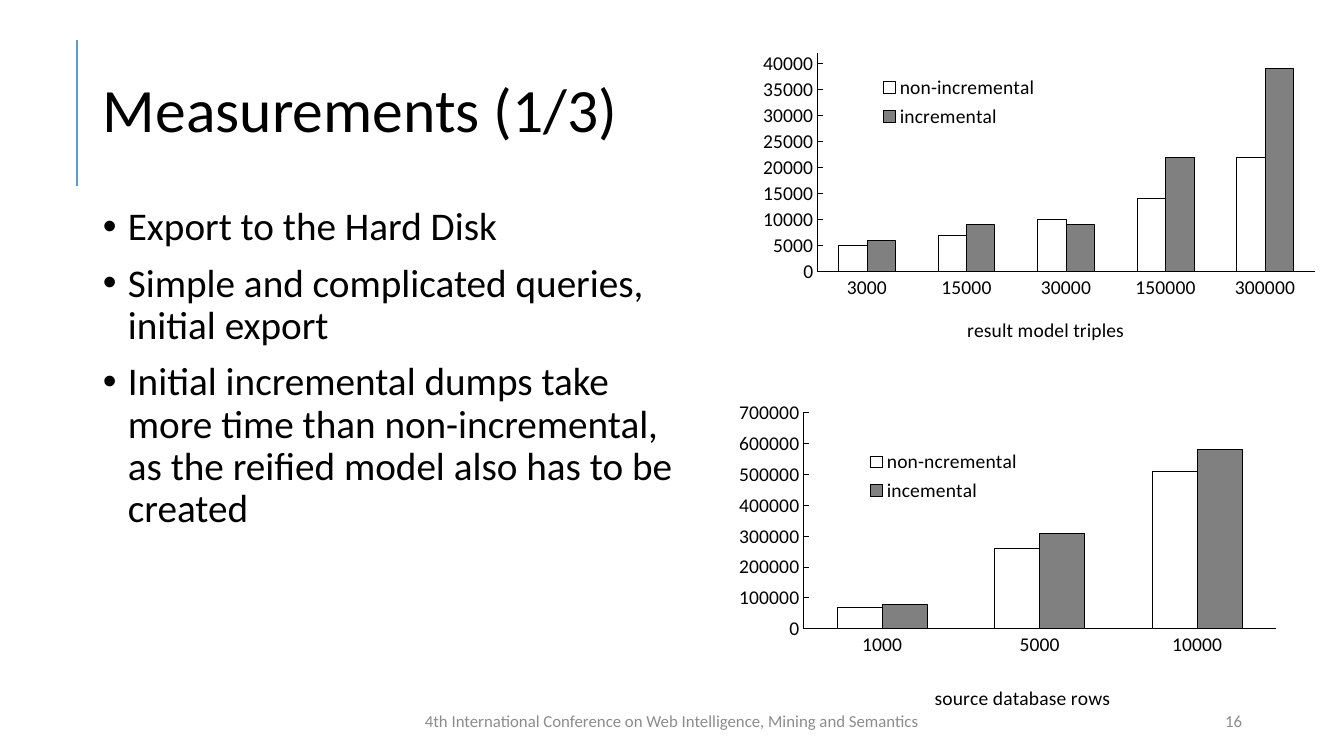
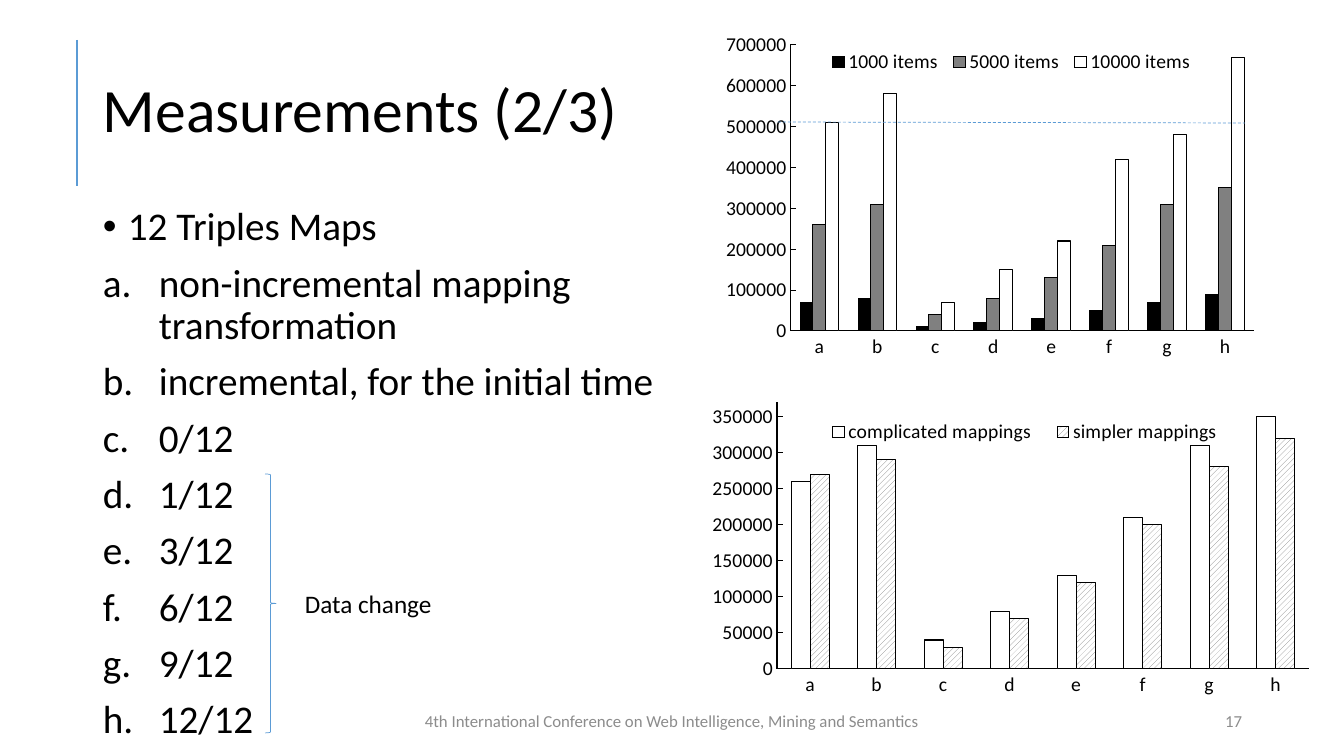
from lxml import etree
from pptx import Presentation
from pptx import util as u
from pptx.chart.data import CategoryChartData
from pptx.dml.color import RGBColor
from pptx.enum import chart as kinds, dml, shapes, text
from pptx.oxml import ns

BLACK = RGBColor(0, 0, 0)
WHITE = RGBColor(255, 255, 255)
GRAY = RGBColor(0x80, 0x80, 0x80)
MUTED = RGBColor(0x8C, 0x8C, 0x8C)
BLUE = RGBColor(0x5B, 0x9B, 0xD5)
FONT = "Calibri"
HATCH = "hatch"
FOOTER = "4th International Conference on Web Intelligence, Mining and Semantics"
STEPS = list("abcdefgh")
MIXED = [260000, 310000, 40000, 80000, 130000, 210000, 310000, 350000]


def px(n):
    return u.Emu(round(n * 9144000 / 1008))


def sub(node, tag, **attrs):
    return etree.SubElement(node, ns.qn(tag), **attrs)


def style(font, size, color=BLACK):
    font.name = FONT
    font.size = u.Pt(size)
    font.bold = False
    font.color.rgb = color


def write(para, words, size, color=BLACK):
    run = para.add_run()
    run.text = words
    style(run.font, size, color)


def frame(slide, box, anchor=text.MSO_ANCHOR.TOP):
    body = slide.shapes.add_textbox(*map(px, box)).text_frame
    body.word_wrap = True
    body.vertical_anchor = anchor
    return body


def label(slide, box, words, size, color=BLACK, align=text.PP_ALIGN.LEFT,
          anchor=text.MSO_ANCHOR.MIDDLE):
    body = frame(slide, box, anchor)
    para = body.paragraphs[0]
    para.alignment = align
    write(para, words, size, color)
    return body


def bullet(para, words, indent, letter):
    para.line_spacing = 0.9
    para.space_before = u.Pt(10)
    props = para._p.get_or_add_pPr()
    props.set("marL", str(px(indent)))
    props.set("indent", str(-px(indent)))
    if letter:
        sub(props, "a:buFont", typeface="+mj-lt")
        sub(props, "a:buAutoNum", type="alphaLcPeriod")
    else:
        sub(props, "a:buFont", typeface="Arial")
        sub(props, "a:buChar", char="•")
    write(para, words, 28)


def items(slide, box, dots, letters=()):
    body = frame(slide, box)
    rows = [(words, 25, False) for words in dots]
    rows += [(words, 56, True) for words in letters]
    for i, row in enumerate(rows):
        para = body.add_paragraph() if i else body.paragraphs[0]
        bullet(para, *row)


def rule(slide, ends, width, dash=None):
    line = slide.shapes.add_connector(shapes.MSO_CONNECTOR.STRAIGHT, *map(px, ends))
    line.line.color.rgb = BLUE
    line.line.width = u.Pt(width)
    if dash:
        line.line.dash_style = dash
    sub(line._element.spPr, "a:effectLst")


def page(deck, title):
    slide = deck.slides.add_slide(deck.slide_layouts[6])
    rule(slide, (77, 40, 77, 186), 2)
    body = label(slide, (93, 40, 1159, 146), title, 44)
    body.paragraphs[0].line_spacing = 0.9
    return slide


def foot(slide, number):
    label(slide, (950, 701, 302, 40), number, 12, MUTED, text.PP_ALIGN.RIGHT)
    label(slide, (395, 701, 554, 40), FOOTER, 12, MUTED, text.PP_ALIGN.CENTER)


def place(node, index, box, spot, inner=False):
    old = node.find(ns.qn("c:layout"))
    if old is not None:
        node.remove(old)
    outer = etree.Element(ns.qn("c:layout"))
    manual = sub(outer, "c:manualLayout")
    if inner:
        sub(manual, "c:layoutTarget", val="inner")
    for axis in "xy":
        sub(manual, f"c:{axis}Mode", val="edge")
    starts = (box[0], box[1], 0, 0)
    for key, value, start, span in zip("xywh", spot, starts, box[2:] * 2):
        sub(manual, f"c:{key}", val=f"{(value - start) / span:.4f}")
    node.insert(index, outer)


def paint(fill, color):
    if color == HATCH:
        fill.patterned()
        fill.pattern = dml.MSO_PATTERN.WIDE_UPWARD_DIAGONAL
        fill.fore_color.rgb = GRAY
        fill.back_color.rgb = WHITE
    else:
        fill.solid()
        fill.fore_color.rgb = color


def edge(line):
    line.color.rgb = BLACK
    line.width = u.Pt(0.75)


def axes(chart, top, step):
    for axis in (chart.category_axis, chart.value_axis):
        axis.has_major_gridlines = False
        axis.major_tick_mark = kinds.XL_TICK_MARK.NONE
        axis.minor_tick_mark = kinds.XL_TICK_MARK.NONE
        edge(axis.format.line)
    value = chart.value_axis
    value.major_tick_mark = kinds.XL_TICK_MARK.INSIDE
    value.minimum_scale = 0
    value.maximum_scale = top
    value.major_unit = step


def bars(slide, box, plot, key, cats, rows, top, step, name=None, spot=None):
    data = CategoryChartData()
    data.categories = cats
    for title, _, values in rows:
        data.add_series(title, values)
    kind = kinds.XL_CHART_TYPE.COLUMN_CLUSTERED
    chart = slide.shapes.add_chart(kind, *map(px, box), data).chart
    chart.has_title = False
    style(chart.font, 14)
    axes(chart, top, step)
    group = chart.plots[0]
    group.gap_width = 150
    group.overlap = 0
    group.vary_by_categories = False
    for series, (_, color, _) in zip(group.series, rows):
        series.invert_if_negative = False
        paint(series.format.fill, color)
        edge(series.format.line)
    chart.has_legend = True
    legend = chart.legend
    legend.position = kinds.XL_LEGEND_POSITION.RIGHT
    legend.include_in_layout = False
    style(legend.font, 14)
    place(legend._element, 1, box, key)
    place(chart._chartSpace.chart.plotArea, 0, box, plot, True)
    if name:
        title = chart.category_axis.axis_title
        write(title.text_frame.paragraphs[0], name, 14)
        place(title._element, 1, box, spot)


def first(deck):
    slide = page(deck, "Measurements (1/3)")
    items(slide, (93, 202, 613, 480), [
        "Export to the Hard Disk",
        "Simple and complicated queries, initial export",
        "Initial incremental dumps take more time than non-incremental, "
        "as the reified model also has to be created"])
    bars(slide, (739, 401, 555, 316), (802, 410, 474, 218), (860, 443, 166, 62),
         ["1000", "5000", "10000"],
         [("non-ncremental", WHITE, [70000, 260000, 510000]),
          ("incemental", GRAY, [80000, 310000, 580000])],
         700000, 100000, "source database rows", (930, 681))
    bars(slide, (763, 42, 555, 318), (803 + 12, 53, 500, 219), (874, 70, 167, 64),
         ["3000", "15000", "30000", "150000", "300000"],
         [("non-incremental", WHITE, [5000, 7000, 10000, 14000, 22000]),
          ("incremental", GRAY, [6000, 9000, 9000, 22000, 39000])],
         42000, 5000, "result model triples", (962, 313))
    foot(slide, "16")


def second(deck):
    slide = page(deck, "Measurements (2/3)")
    items(slide, (93, 202, 594, 554), ["12 Triples Maps"], [
        "non-incremental mapping transformation",
        "incremental, for the initial time",
        "0/12", "1/12", "3/12", "6/12", "9/12", "12/12"])
    bars(slide, (726, 26, 582, 370), (789, 45, 465, 286), (822, 48, 377, 28), STEPS,
         [("1000 items", BLACK,
           [70000, 80000, 10000, 20000, 30000, 50000, 70000, 90000]),
          ("5000 items", GRAY, MIXED),
          ("10000 items", WHITE,
           [510000, 580000, 70000, 150000, 220000, 420000, 480000, 670000])],
         700000, 100000)
    bars(slide, (711, 381, 622, 352), (777, 402, 532, 267), (813, 418, 423, 28), STEPS,
         [("complicated mappings", WHITE, MIXED),
          ("simpler mappings", HATCH,
           [270000, 290000, 30000, 70000, 120000, 200000, 280000, 320000])],
         370000, 50000)
    rule(slide, (778, 122, 1245, 123), 0.5, dml.MSO_LINE.DASH)
    foot(slide, "17")
    brace = slide.shapes.add_shape(
        shapes.MSO_SHAPE.RIGHT_BRACE, *map(px, (265, 474, 11, 259)))
    brace.shadow.inherit = False
    brace.fill.background()
    brace.line.color.rgb = BLUE
    brace.line.width = u.Pt(0.5)
    note = label(slide, (295, 583, 165, 40), "Data change", 18,
                 anchor=text.MSO_ANCHOR.TOP)
    note.auto_size = text.MSO_AUTO_SIZE.SHAPE_TO_FIT_TEXT


def main():
    deck = Presentation()
    deck.slide_width = px(1344)
    deck.slide_height = px(756)
    first(deck)
    second(deck)
    deck.save("out.pptx")


if __name__ == "__main__":
    main()
